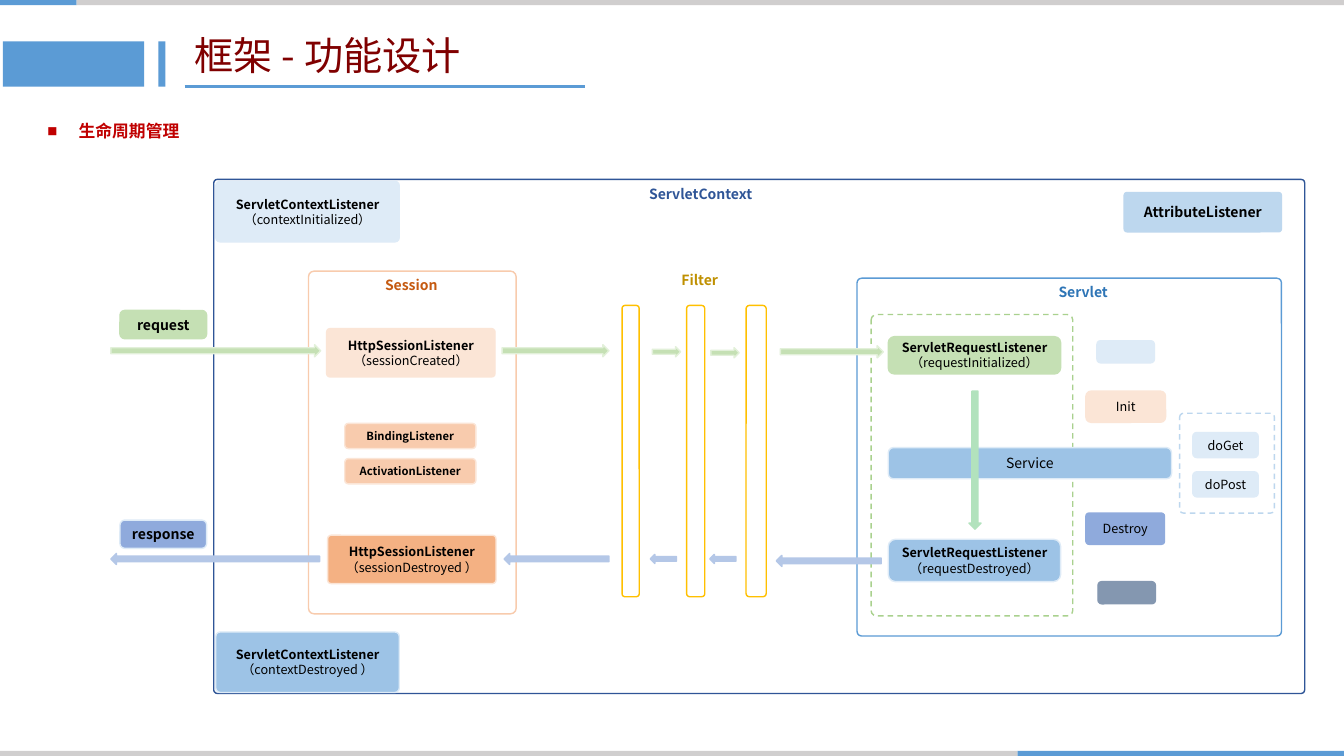
from dataclasses import dataclass
from typing import Any

from lxml.etree import SubElement
from pptx import Presentation
from pptx.dml.color import RGBColor
from pptx.enum.dml import MSO_LINE
from pptx.enum.shapes import MSO_CONNECTOR, MSO_SHAPE
from pptx.enum.text import MSO_ANCHOR, MSO_AUTO_SIZE, PP_ALIGN
from pptx.oxml.ns import qn
from pptx.util import Inches, Pt

FONT = "Noto Sans CJK SC"
HUES = {
    "white": "FFFFFF", "black": "000000", "grey": "D0CECE", "slate": "8497B0",
    "blue": "5B9BD5", "navy": "2F5597", "ocean": "2E75B6", "sky": "9DC3E6",
    "pale": "DEEBF7", "mist": "BDD7EE", "iris": "8FAADC", "haze": "B4C7E7",
    "green": "C5E0B4", "leaf": "A9D18E", "lime": "E2F0D9", "mint": "B2E2BD",
    "peach": "FBE5D6", "salmon": "F8CBAD", "orange": "F4B183", "rust": "C55A11",
    "gold": "FFC000", "ochre": "BF9000", "red": "C00000", "maroon": "800000",
}
ROUND = 0.167


@dataclass
class Box:
    x: float
    y: float
    w: float
    h: float
    fill: str
    edge: str = ""
    text: tuple[str, ...] = ()
    size: int = 9
    bold: bool = True
    bend: float = ROUND
    dash: bool = False
    kind: Any = MSO_SHAPE.ROUNDED_RECTANGLE


@dataclass
class Label:
    x: float
    y: float
    w: float
    text: str
    hue: str


BARS = [
    (10.09, 7.45, 3.24, 0.05, "blue"), (0, 7.45, 10.09, 0.05, "grey"),
    (0, 0, 0.76, 0.05, "blue"), (0.76, 0, 12.57, 0.05, "grey"),
    (1.57, 0.41, 0.07, 0.45, "blue"), (0.03, 0.41, 1.4, 0.45, "blue"),
]
FRAMES = [
    Box(2.12, 1.78, 10.82, 5.1, "white", "navy", bend=0.007),
    Box(8.5, 2.76, 4.21, 3.55, "white", "blue", bend=0.013),
    Box(8.64, 3.12, 2, 2.99, "white", "leaf", bend=0.027, dash=True),
    Box(3.06, 2.69, 2.06, 3.4, "white", "salmon", bend=0.027),
    Box(11.7, 4.1, 0.94, 0.99, "white", "mist", bend=0.041, dash=True),
]
FILTERS = [Box(x, 3.03, w, 2.89, "white", "gold")
           for x, w in ((6.17, 0.17), (6.81, 0.18), (7.4, 0.2))]
CONTEXT, REQUEST, SESSION = (
    "ServletContextListener", "ServletRequestListener", "HttpSessionListener")
BOXES = [
    Box(2.14, 1.8, 1.82, 0.6, "pale", "pale", (CONTEXT, "（contextInitialized）"), bend=0.072),
    Box(2.14, 6.27, 1.82, 0.6, "sky", "pale", (CONTEXT, "（contextDestroyed ）"), bend=0.072),
    Box(3.24, 3.26, 1.67, 0.48, "peach", "peach", (SESSION, "（sessionCreated）"), bend=0.072),
    Box(3.25, 5.31, 1.67, 0.48, "orange", "peach", (SESSION, "（sessionDestroyed ）"), bend=0.072),
    Box(8.81, 3.34, 1.71, 0.37, "green", "green", (REQUEST, "（requestInitialized）")),
    Box(8.81, 5.35, 1.71, 0.42, "sky", "pale", (REQUEST, "（requestDestroyed）")),
    Box(8.81, 4.44, 2.81, 0.31, "sky", "pale", ("Service",), 10, False),
    Box(11.15, 1.91, 1.56, 0.39, "mist", "mist", ("AttributeListener",), 10, bend=0.072),
    Box(1.19, 3.08, 0.86, 0.28, "green", "green", ("request",), 10),
    Box(1.19, 5.16, 0.86, 0.28, "iris", "pale", ("response",), 10),
    Box(10.88, 3.38, 0.57, 0.22, "pale", "pale"),
    Box(10.77, 3.88, 0.79, 0.31, "peach", "peach", ("Init",), bold=False),
    Box(10.77, 5.09, 0.78, 0.31, "iris", "iris", ("Destroy",), bold=False, bend=0.099),
    Box(10.89, 5.77, 0.57, 0.22, "slate", "slate"),
    *(Box(11.83, y, 0.65, 0.25, "pale", "pale", (name,), bold=False)
      for y, name in ((4.29, "doGet"), (4.68, "doPost"))),
    *(Box(3.42, y, 1.3, 0.25, "salmon", "peach", (name,), 8, bend=0.14)
      for y, name in ((4.2, "BindingListener"), (4.55, "ActivationListener"))),
]
ARROWS = [
    *(Box(x, y, w, h, "green", "lime", kind=MSO_SHAPE.RIGHT_ARROW)
      for x, y, w, h in ((1.1, 3.42, 2.08, 0.12), (4.98, 3.42, 1.06, 0.12),
                         (6.47, 3.44, 0.28, 0.1), (7.05, 3.45, 0.28, 0.1),
                         (7.74, 3.43, 1.02, 0.12))),
    *(Box(x, y, w, h, "haze", "haze", kind=MSO_SHAPE.LEFT_ARROW)
      for x, y, w, h in ((1.1, 5.49, 2.07, 0.11), (5, 5.49, 1.04, 0.11),
                         (6.45, 5.5, 0.26, 0.09), (7.04, 5.5, 0.26, 0.09),
                         (7.7, 5.51, 1.04, 0.11))),
    Box(9.61, 3.88, 0.12, 1.37, "mint", "mint", kind=MSO_SHAPE.DOWN_ARROW),
]
LABELS = [
    Label(10.4, 2.76, 0.89, "Servlet", "ocean"),
    Label(6.34, 1.79, 1.42, "ServletContext", "navy"),
    Label(6.66, 2.64, 0.85, "Filter", "ochre"),
    Label(3.72, 2.69, 0.85, "Session", "rust"),
]


def tint(name: str) -> RGBColor:
    return RGBColor.from_string(HUES[name])


def apply(item: Any, form: dict[str, Any]) -> None:
    for key, value in form.items():
        setattr(item, key, value)


def place(shape: Any, x: float, y: float, w: float, h: float) -> None:
    apply(shape, {"left": Inches(x), "top": Inches(y),
                  "width": Inches(w), "height": Inches(h)})


def write(para: Any, text: str, size: int, hue: str, bold: bool) -> None:
    """Add one run, with the font set for Latin and Chinese letters."""
    run = para.add_run()
    run.text = text
    apply(run.font, {"name": FONT, "size": Pt(size), "bold": bold})
    run.font.color.rgb = tint(hue)
    SubElement(run._r.get_or_add_rPr(), qn("a:ea"), typeface=FONT)


def draw(slide: Any, box: Box) -> None:
    shape = slide.shapes.add_shape(
        box.kind, *map(Inches, (box.x, box.y, box.w, box.h)))
    shape.shadow.inherit = False
    shape.fill.solid()
    shape.fill.fore_color.rgb = tint(box.fill)
    if box.edge:
        shape.line.color.rgb = tint(box.edge)
        shape.line.width = Pt(1)
    else:
        shape.line.fill.background()
    if box.dash:
        shape.line.dash_style = MSO_LINE.DASH
    if box.kind == MSO_SHAPE.ROUNDED_RECTANGLE:
        shape.adjustments[0] = box.bend
    frame = shape.text_frame
    apply(frame, {"word_wrap": True, "vertical_anchor": MSO_ANCHOR.MIDDLE,
                  "margin_left": 0, "margin_right": 0})
    for row, text in enumerate(box.text):
        para = frame.add_paragraph() if row else frame.paragraphs[0]
        para.alignment = PP_ALIGN.CENTER
        write(para, text, box.size, "black", box.bold and row == 0)


def mark(slide: Any, label: Label) -> None:
    shape = slide.shapes.add_textbox(
        *map(Inches, (label.x, label.y, label.w, 0.27)))
    shape.text_frame.word_wrap = True
    write(shape.text_frame.paragraphs[0], label.text, 10, label.hue, True)


def head(slide: Any) -> None:
    """Fill the title and the bullet, and rule a line below the title."""
    title, body = slide.shapes.title, slide.placeholders[1]
    place(title, 1.83, 0.28, 4.07, 0.58)
    place(body, 0.37, 1.05, 2.38, 0.4)
    for shape, anchor in ((title, MSO_ANCHOR.MIDDLE), (body, MSO_ANCHOR.TOP)):
        apply(shape.text_frame, {"word_wrap": True, "vertical_anchor": anchor,
                                 "auto_size": MSO_AUTO_SIZE.NONE})
    para = title.text_frame.paragraphs[0]
    apply(para, {"alignment": PP_ALIGN.LEFT, "line_spacing": 0.9})
    write(para, "框架 - 功能设计", 28, "maroon", False)

    para = body.text_frame.paragraphs[0]
    apply(para, {"line_spacing": 1.5, "space_before": Pt(0)})
    props = para._p.get_or_add_pPr()
    props.set("marL", str(Inches(0.31)))
    props.set("indent", str(-Inches(0.31)))
    SubElement(props, qn("a:buSzPct"), val="60000")
    SubElement(props, qn("a:buFont"), typeface=FONT)
    SubElement(props, qn("a:buChar"), char="■")
    write(para, "生命周期管理", 12, "red", True)

    rule = slide.shapes.add_connector(
        MSO_CONNECTOR.STRAIGHT, *map(Inches, (1.83, 0.86, 5.8, 0.86)))
    rule.line.color.rgb = tint("blue")
    rule.line.width = Pt(2.25)
    SubElement(rule._element.spPr, qn("a:effectLst"))


def main() -> None:
    deck = Presentation()
    apply(deck, {"slide_width": Inches(13.33), "slide_height": Inches(7.5)})
    slide = deck.slides.add_slide(deck.slide_layouts[1])
    head(slide)
    bars = [Box(*bar, kind=MSO_SHAPE.RECTANGLE) for bar in BARS]
    for box in bars + FRAMES + FILTERS + BOXES + ARROWS:
        draw(slide, box)
    for label in LABELS:
        mark(slide, label)
    deck.save("out.pptx")


if __name__ == "__main__":
    main()
